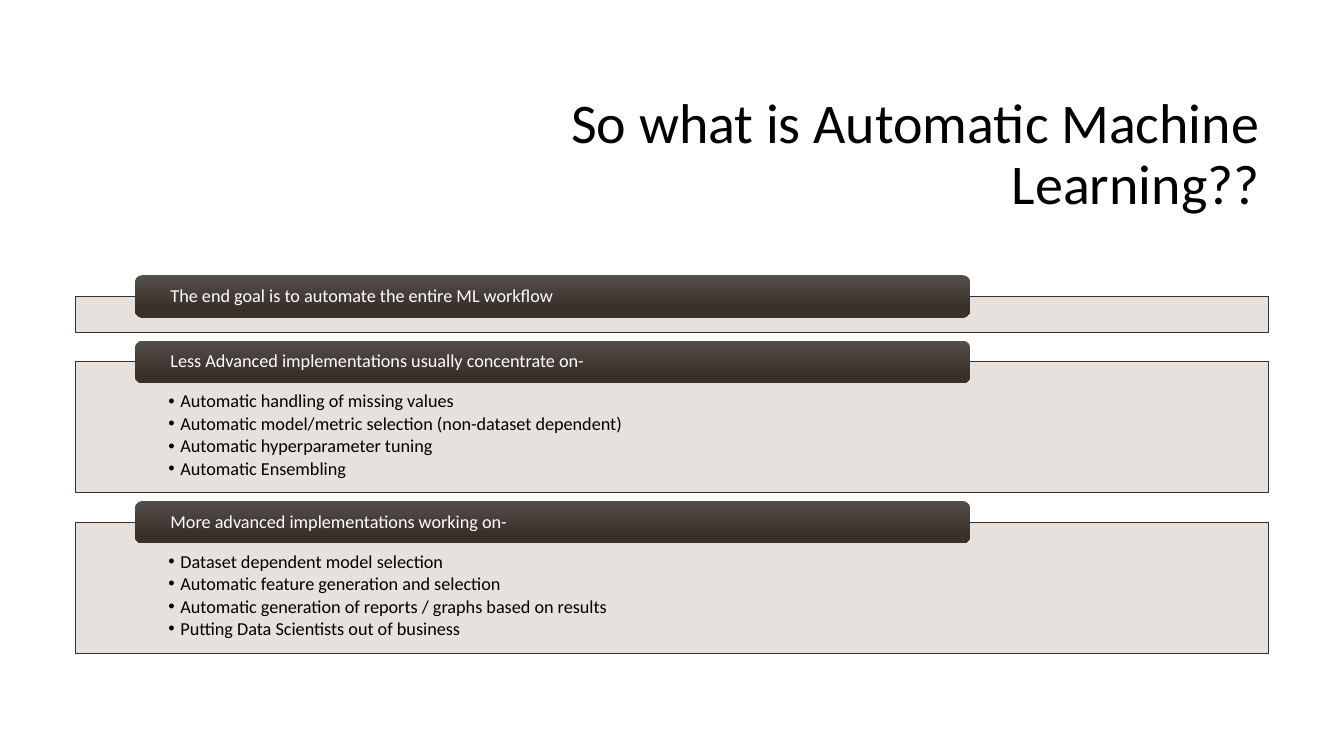
"""Build the slide that explains automatic machine learning."""
from dataclasses import dataclass

from lxml import etree
from pptx import Presentation
from pptx import util as u
from pptx.dml.color import RGBColor
from pptx.enum import shapes, text
from pptx.oxml.ns import qn

BLACK = RGBColor(0x00, 0x00, 0x00)
WHITE = RGBColor(0xFF, 0xFF, 0xFF)
PANEL = RGBColor(0xE5, 0xDE, 0xDB)
OUTLINE = RGBColor(0x39, 0x30, 0x2A)
TAB_STOPS = ((0, RGBColor(0x54, 0x4E, 0x4B)), (0.78, RGBColor(0x3A, 0x30, 0x29)))

FIRST_TOP, GAP = 2.94, 0.29
TAB_RISE = 0.21
BULLET_INDENT = u.Inches(0.12)


@dataclass
class Section:
    heading: str
    height: float
    bullets: tuple[str, ...] = ()


SECTIONS = (
    Section("The end goal is to automate the entire ML workflow", 0.36),
    Section("Less Advanced implementations usually concentrate on-", 1.3, (
        "Automatic handling of missing values",
        "Automatic model/metric selection (non-dataset dependent)",
        "Automatic hyperparameter tuning",
        "Automatic Ensembling",
    )),
    Section("More advanced implementations working on-", 1.3, (
        "Dataset dependent model selection",
        "Automatic feature generation and selection",
        "Automatic generation of reports / graphs based on results",
        "Putting Data Scientists out of business",
    )),
)


def set_all(target, values: dict) -> None:
    for name, value in values.items():
        setattr(target, name, value)


def set_frame(tf, anchor, side: float, top: float, bottom: float) -> None:
    set_all(tf, {
        "word_wrap": True, "auto_size": text.MSO_AUTO_SIZE.NONE,
        "vertical_anchor": anchor,
        "margin_left": u.Inches(side), "margin_right": u.Inches(side),
        "margin_top": u.Inches(top), "margin_bottom": u.Inches(bottom),
    })


def write(p, words: str, size: int, color: RGBColor, align, after: float = 0) -> None:
    set_all(p, {"alignment": align, "line_spacing": 0.9, "space_after": u.Pt(after)})
    r = p.add_run()
    r.text = words
    set_all(r.font, {"name": "Calibri", "size": u.Pt(size)})
    r.font.color.rgb = color


def add_bullet(p) -> None:
    pPr = p._p.get_or_add_pPr()
    pPr.set("marL", str(BULLET_INDENT))
    pPr.set("indent", str(-BULLET_INDENT))
    etree.SubElement(pPr, qn("a:buFont"), typeface="Arial")
    etree.SubElement(pPr, qn("a:buChar"), char="•")


def add_panel(s, section: Section, top: float) -> None:
    sp = s.shapes.add_shape(shapes.MSO_SHAPE.RECTANGLE, u.Inches(0.75), u.Inches(top),
                            u.Inches(11.83), u.Inches(section.height))
    sp.shadow.inherit = False
    sp.fill.solid()
    sp.fill.fore_color.rgb = PANEL
    color = sp._element.spPr.find(qn("a:solidFill")).find(qn("a:srgbClr"))
    etree.SubElement(color, qn("a:alpha"), val="90000")
    sp.line.color.rgb = OUTLINE
    sp.line.width = u.Pt(0.75)
    tf = sp.text_frame
    set_frame(tf, text.MSO_ANCHOR.TOP, 0.92, 0.3, 0.1)
    for i, words in enumerate(section.bullets):
        p = tf.add_paragraph() if i else tf.paragraphs[0]
        add_bullet(p)
        p.level = 1
        write(p, words, 13, BLACK, text.PP_ALIGN.LEFT, 2)


def add_tab(s, section: Section, top: float) -> None:
    sp = s.shapes.add_shape(shapes.MSO_SHAPE.ROUNDED_RECTANGLE, u.Inches(1.34),
                            u.Inches(top - TAB_RISE), u.Inches(8.28), u.Inches(0.42))
    sp.shadow.inherit = False
    sp.fill.gradient()
    sp.fill.gradient_angle = 270
    for stop, (position, color) in zip(sp.fill.gradient_stops, TAB_STOPS):
        stop.position = position
        stop.color.rgb = color
    sp.line.fill.background()
    set_frame(sp.text_frame, text.MSO_ANCHOR.MIDDLE, 0.33, 0, 0)
    write(sp.text_frame.paragraphs[0], section.heading, 13, WHITE, text.PP_ALIGN.LEFT)


def add_title(s) -> None:
    sp = s.shapes.title
    set_all(sp, {"left": u.Inches(3.17), "top": u.Inches(0.84),
                 "width": u.Inches(9.42), "height": u.Inches(1.41)})
    set_frame(sp.text_frame, text.MSO_ANCHOR.MIDDLE, 0.1, 0.05, 0.05)
    write(sp.text_frame.paragraphs[0], "So what is Automatic Machine Learning??",
          40, BLACK, text.PP_ALIGN.RIGHT)


def main() -> None:
    prs = Presentation()
    set_all(prs, {"slide_width": u.Inches(13.33), "slide_height": u.Inches(7.5)})
    s = prs.slides.add_slide(prs.slide_layouts[5])
    add_title(s)
    top = FIRST_TOP
    for section in SECTIONS:
        add_panel(s, section, top)
        add_tab(s, section, top)
        top += section.height + GAP
    prs.save("out.pptx")


if __name__ == "__main__":
    main()
